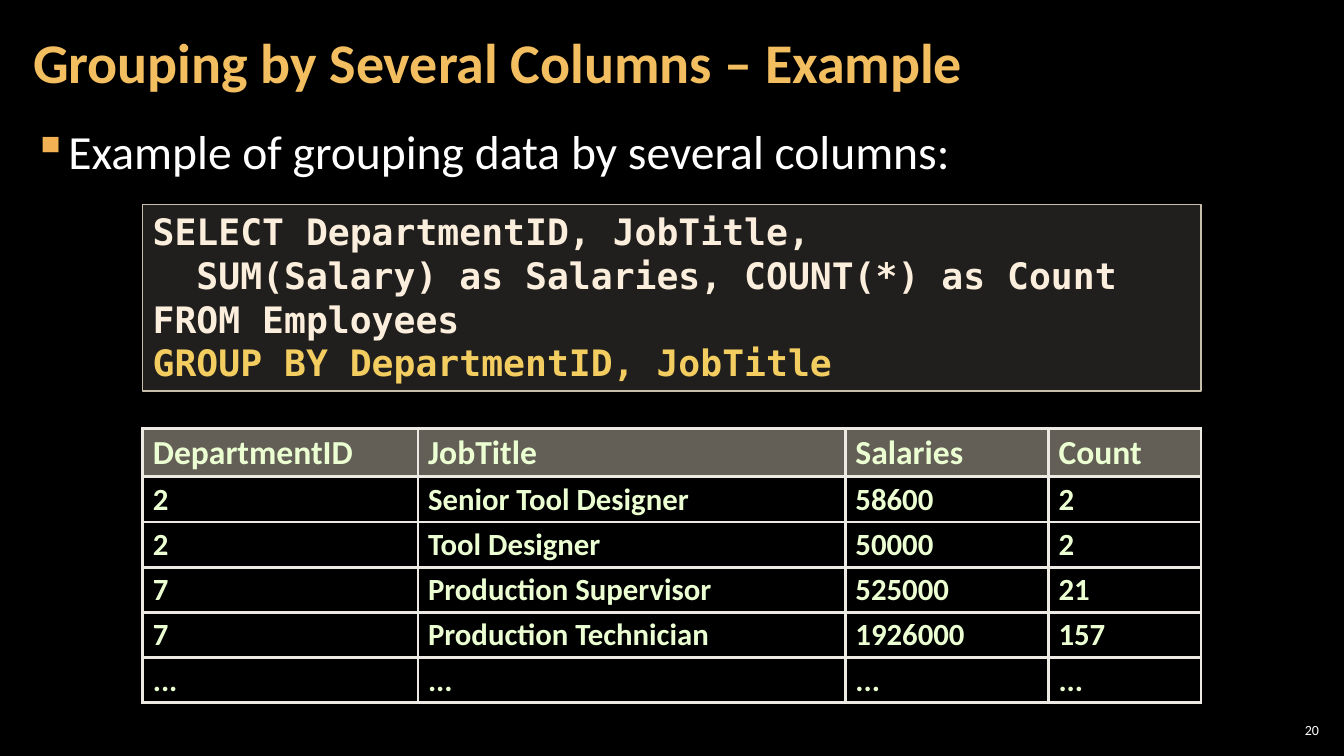
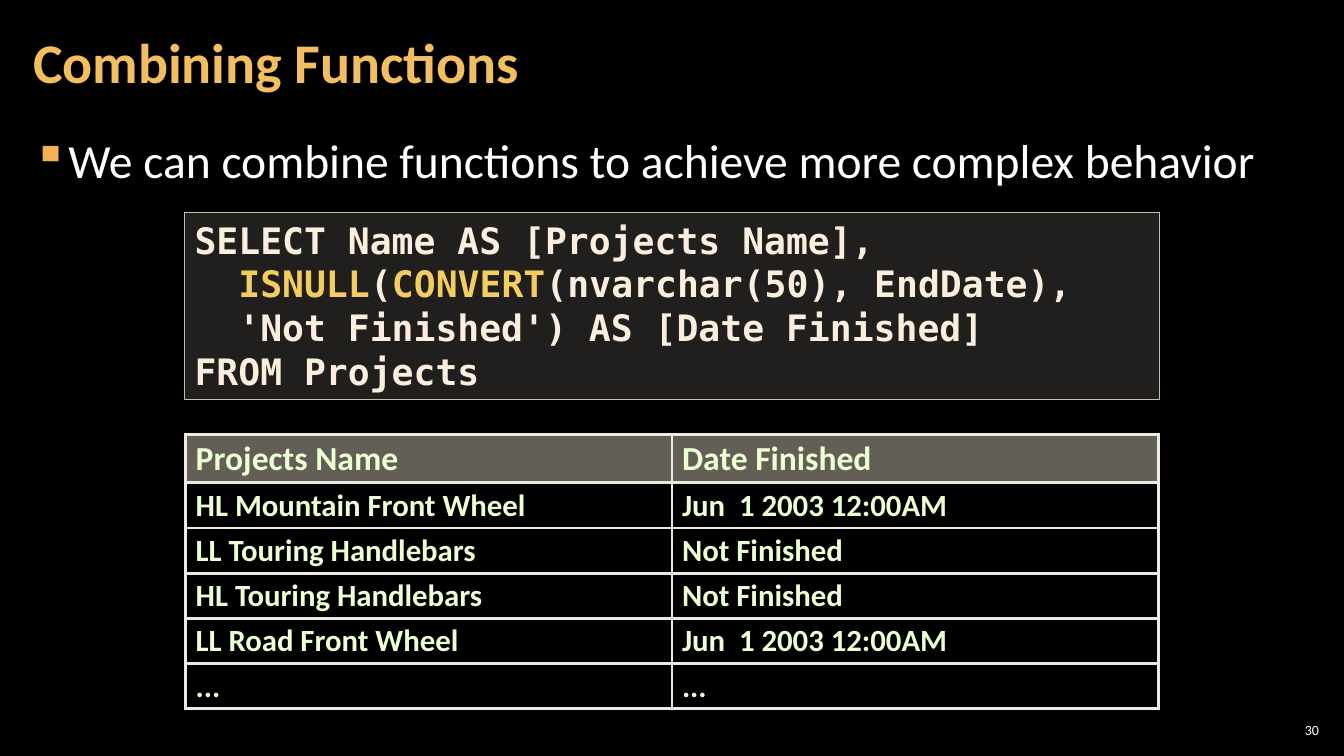
from lxml.etree import SubElement
from pptx import Presentation
from pptx.dml.color import RGBColor
from pptx.enum.shapes import MSO_SHAPE
from pptx.enum.text import MSO_ANCHOR, PP_ALIGN
from pptx.oxml.ns import qn
from pptx.util import Pt

PAGE_WIDTH, PAGE_HEIGHT = 960, 540
SANS, MONO = "Calibri", "DejaVu Sans Mono"

# Shared colours
BLACK, WHITE = "000000", "FFFFFF"
TITLE_GOLD, BULLET_GOLD, KEYWORD_GOLD = "F3BE60", "F2B254", "F3CD60"
CODE_TEXT, CODE_FILL, SAND = "FBEEDC", "D9D5C7", "C7BFAC"
CELL_TEXT, CELL_BORDER = "EBFFD2", "ECEAE3"

# Shared places: left, top, width, height
TITLE_BOX = (15, 3, 754, 87)
NUMBER_BOX = (911, 514, 34, 15)
BODY_LEFT, BODY_WIDTH, BODY_HEIGHT = 15, 930, 438
CODE_HEIGHT = 133.2
CODE_INDENT = 31.3
HEADER_HEIGHT, ROW_HEIGHT = 34.3, 32.3


def color(hex_text):
    return RGBColor.from_string(hex_text)


def style(span, size, hex_text, font=SANS, bold=False):
    span.font.name, span.font.size, span.font.bold = font, Pt(size), bold
    span.font.color.rgb = color(hex_text)


def fill_shade(fill, hex_text, percent):
    """Fill with a see-through colour."""
    fill.solid()
    fill.fore_color.rgb = color(hex_text)
    shade = fill._xPr.find(qn("a:solidFill")).find(qn("a:srgbClr"))
    SubElement(shade, qn("a:alpha"), val=str(percent * 1000))


def add_text(page, box, text, size, hex_text, bold=False, inset=8.6, anchor=MSO_ANCHOR.MIDDLE):
    frame = page.shapes.add_textbox(*map(Pt, box)).text_frame
    frame.word_wrap = True
    frame.vertical_anchor = anchor
    frame.margin_left = frame.margin_right = Pt(inset)
    frame.margin_top = frame.margin_bottom = Pt(2.9)
    frame.text = text
    para = frame.paragraphs[0]
    style(para.runs[0], size, hex_text, bold=bold)
    return para


def add_title(page, text):
    add_text(page, TITLE_BOX, text, 40, TITLE_GOLD, bold=True).line_spacing = 0.9


def add_number(page, number):
    para = add_text(page, NUMBER_BOX, str(number), 10, WHITE, inset=2.9)
    para.alignment = PP_ALIGN.RIGHT


def add_bullet(page, top, text):
    box = (BODY_LEFT, top, BODY_WIDTH, BODY_HEIGHT)
    para = add_text(page, box, text, 34, WHITE, anchor=MSO_ANCHOR.TOP)
    para.space_before = para.space_after = Pt(6)
    properties = para._p.get_or_add_pPr()
    properties.set("marL", str(Pt(24)))
    properties.set("indent", str(Pt(-24)))
    bullet_color = SubElement(properties, qn("a:buClr"))
    SubElement(bullet_color, qn("a:srgbClr"), val=BULLET_GOLD)
    SubElement(properties, qn("a:buChar"), char="▪")


def add_code(page, top, width, lines):
    """Each line is its indent level and a list of (text, is keyword)."""
    left = (PAGE_WIDTH - width) / 2
    panel = page.shapes.add_shape(
        MSO_SHAPE.RECTANGLE, Pt(left), Pt(top), Pt(width), Pt(CODE_HEIGHT))
    panel.shadow.inherit = False
    fill_shade(panel.fill, CODE_FILL, 15)
    panel.line.color.rgb = color(SAND)
    panel.line.width = Pt(1)
    frame = panel.text_frame
    frame.word_wrap = True
    frame.vertical_anchor = MSO_ANCHOR.TOP
    for index, (level, pieces) in enumerate(lines):
        para = frame.add_paragraph() if index else frame.paragraphs[0]
        para.alignment = PP_ALIGN.LEFT
        para._p.get_or_add_pPr().set("marL", str(Pt(level * CODE_INDENT)))
        for text, is_keyword in pieces:
            span = para.add_run()
            span.text = text
            style(span, 26, KEYWORD_GOLD if is_keyword else CODE_TEXT, MONO, True)


def add_borders(cell):
    properties = cell._tc.get_or_add_tcPr()
    for index, side in enumerate(("a:lnL", "a:lnR", "a:lnT", "a:lnB")):
        border = properties.makeelement(qn(side), {"w": str(Pt(2.25))})
        properties.insert(index, border)
        solid = SubElement(border, qn("a:solidFill"))
        SubElement(solid, qn("a:srgbClr"), val=CELL_BORDER)


def add_result(page, top, widths, rows):
    width = sum(widths)
    height = HEADER_HEIGHT + ROW_HEIGHT * (len(rows) - 1)
    table = page.shapes.add_table(
        len(rows), len(widths), Pt((PAGE_WIDTH - width) / 2), Pt(top),
        Pt(width), Pt(height)).table
    table.horz_banding = False
    for column, column_width in zip(table.columns, widths):
        column.width = Pt(column_width)
    for row_index, values in enumerate(rows):
        is_header = row_index == 0
        table.rows[row_index].height = Pt(HEADER_HEIGHT if is_header else ROW_HEIGHT)
        for column_index, value in enumerate(values):
            cell = table.cell(row_index, column_index)
            if is_header:
                fill_shade(cell.fill, SAND, 50)
            else:
                cell.fill.background()
            add_borders(cell)
            cell.text_frame.text = value
            para = cell.text_frame.paragraphs[0]
            para.line_spacing = 0.95
            style(para.runs[0], 24 if is_header else 22, CELL_TEXT, bold=True)


def add_query_slide(deck, number, title, bullet, code, result):
    page = deck.slides.add_slide(deck.slide_layouts[6])
    add_number(page, number)
    add_bullet(page, *bullet)
    add_title(page, title)
    add_code(page, *code)
    add_result(page, *result)


def main():
    deck = Presentation()
    deck.slide_width, deck.slide_height = Pt(PAGE_WIDTH), Pt(PAGE_HEIGHT)
    backdrop = deck.slide_master.background.fill
    backdrop.solid()
    backdrop.fore_color.rgb = color(BLACK)

    # Grouping by several columns
    add_query_slide(
        deck, 20, "Grouping by Several Columns – Example",
        bullet=(84.2, "Example of grouping data by several columns:"),
        code=(146, 756, [
            (0, [("SELECT DepartmentID, JobTitle,", False)]),
            (1, [("SUM(Salary) as Salaries, COUNT(*) as Count", False)]),
            (0, [("FROM Employees", False)]),
            (0, [("GROUP BY DepartmentID, JobTitle", True)]),
        ]),
        result=(306, (196.6, 305.3, 145.1, 109), [
            ("DepartmentID", "JobTitle", "Salaries", "Count"),
            ("2", "Senior Tool Designer", "58600", "2"),
            ("2", "Tool Designer", "50000", "2"),
            ("7", "Production Supervisor", "525000", "21"),
            ("7", "Production Technician", "1926000", "157"),
            ("...",) * 4,
        ]))

    # Combining functions
    add_query_slide(
        deck, 30, "Combining Functions",
        bullet=(90.7, "We can combine functions to achieve more complex behavior"),
        code=(152, 696.2, [
            (0, [("SELECT Name AS [Projects Name],", False)]),
            (1, [("ISNULL", True), ("(", False), ("CONVERT", True),
                 ("(nvarchar(50), EndDate),", False)]),
            (1, [("'Not Finished') AS [Date Finished]", False)]),
            (0, [("FROM Projects", False)]),
        ]),
        result=(310.3, (347.4, 347.4), [
            ("Projects Name", "Date Finished"),
            ("HL Mountain Front Wheel", "Jun  1 2003 12:00AM"),
            ("LL Touring Handlebars", "Not Finished"),
            ("HL Touring Handlebars", "Not Finished"),
            ("LL Road Front Wheel", "Jun  1 2003 12:00AM"),
            ("...",) * 2,
        ]))

    deck.save("out.pptx")


if __name__ == "__main__":
    main()
